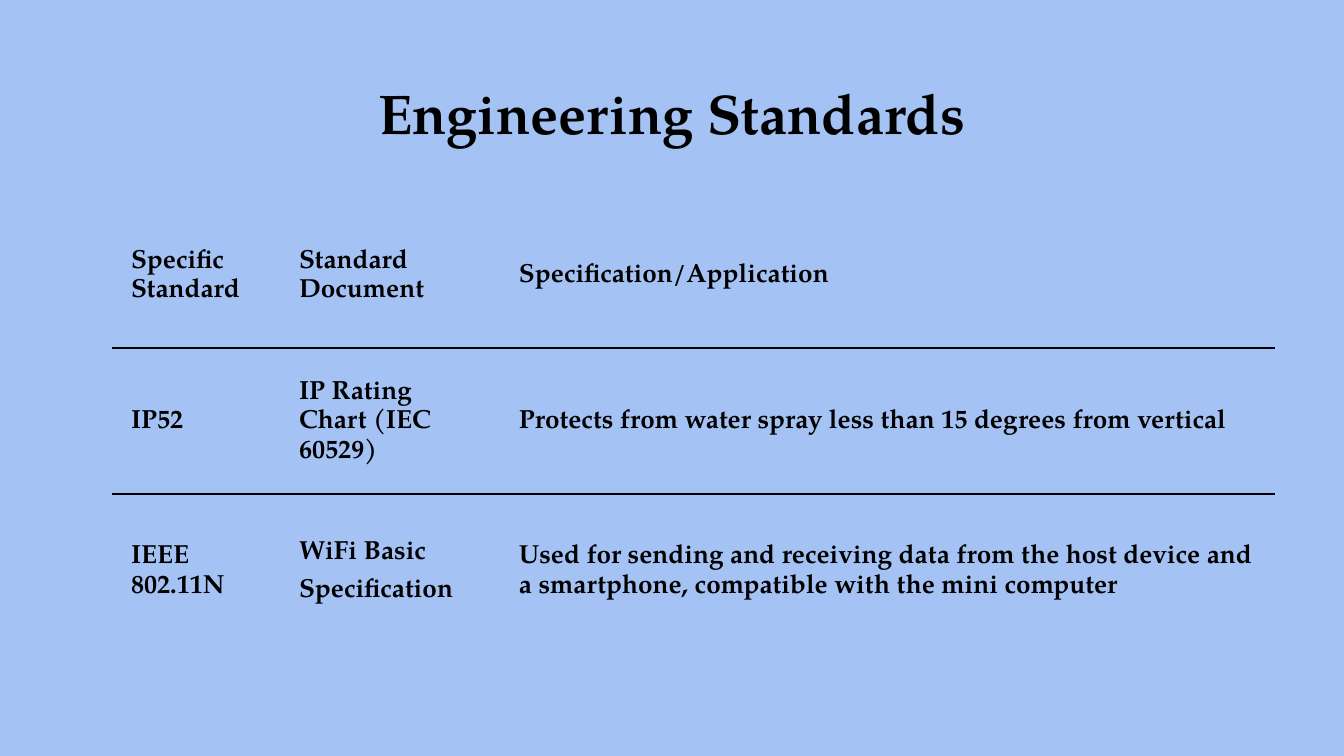
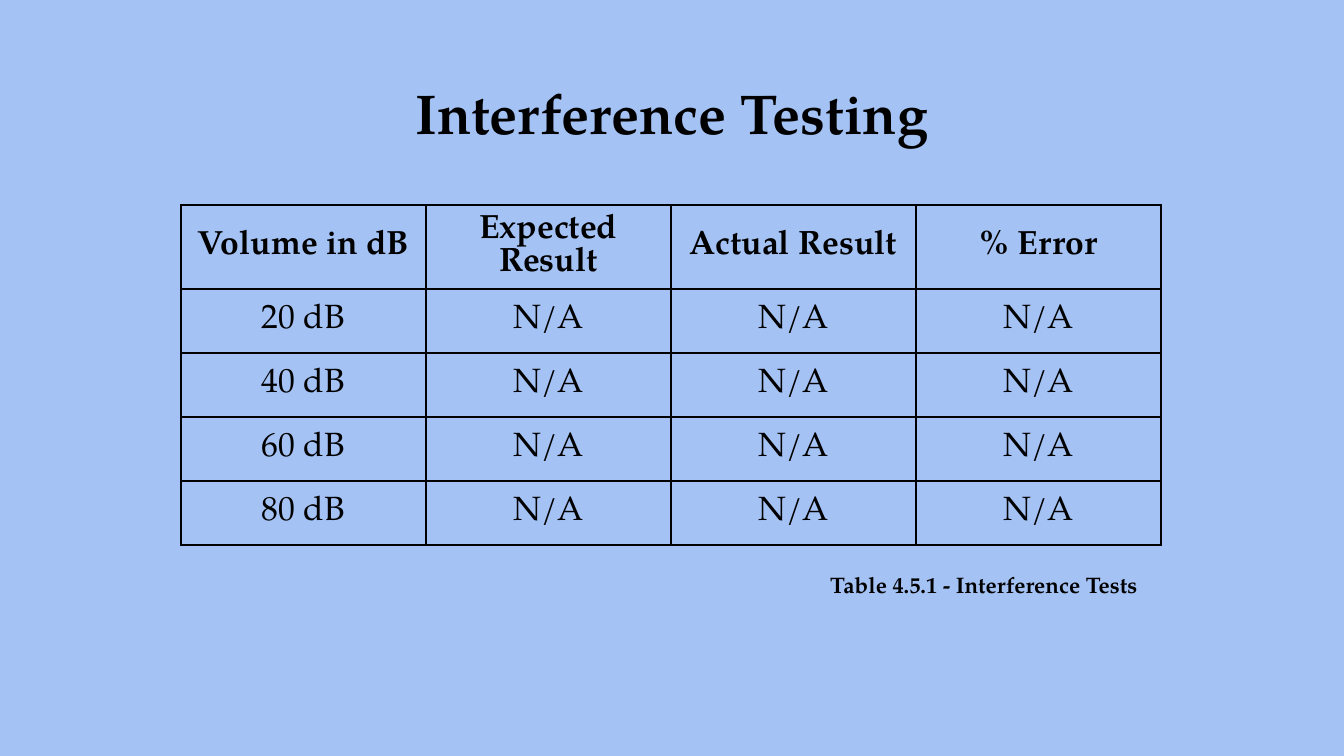
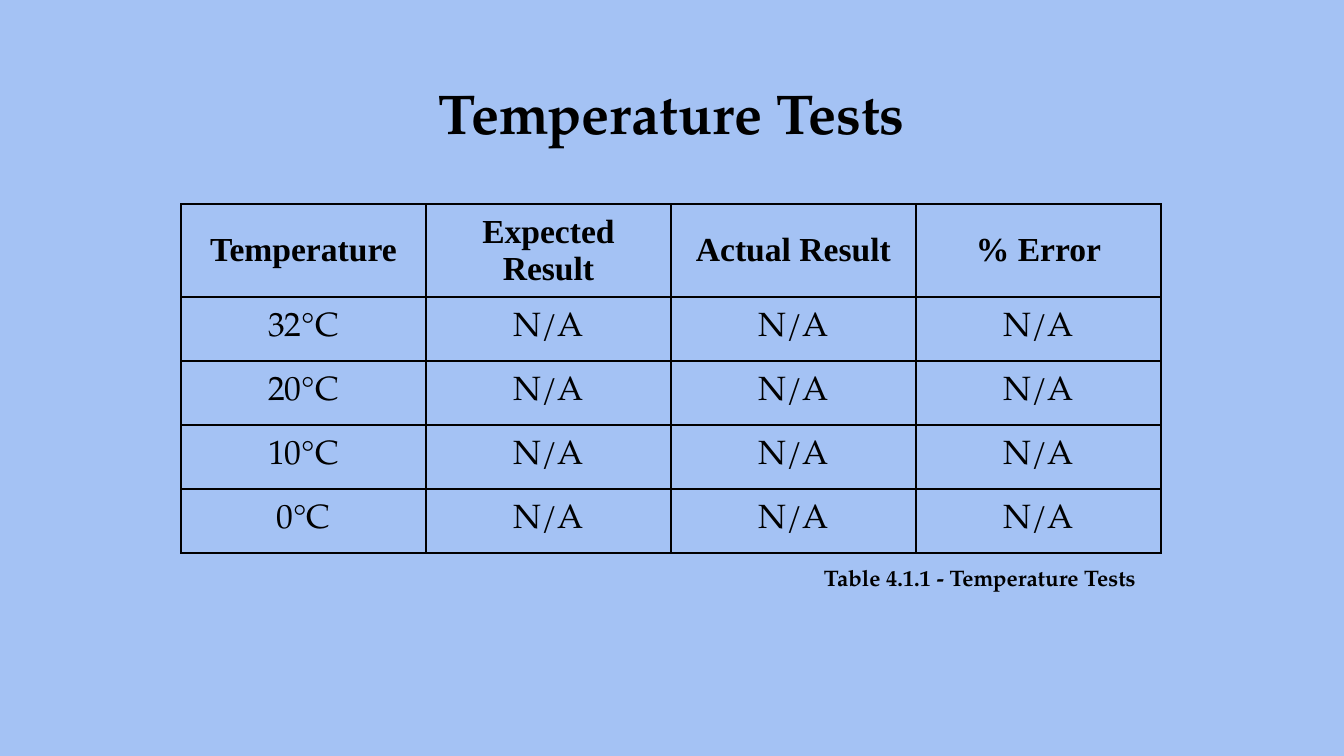
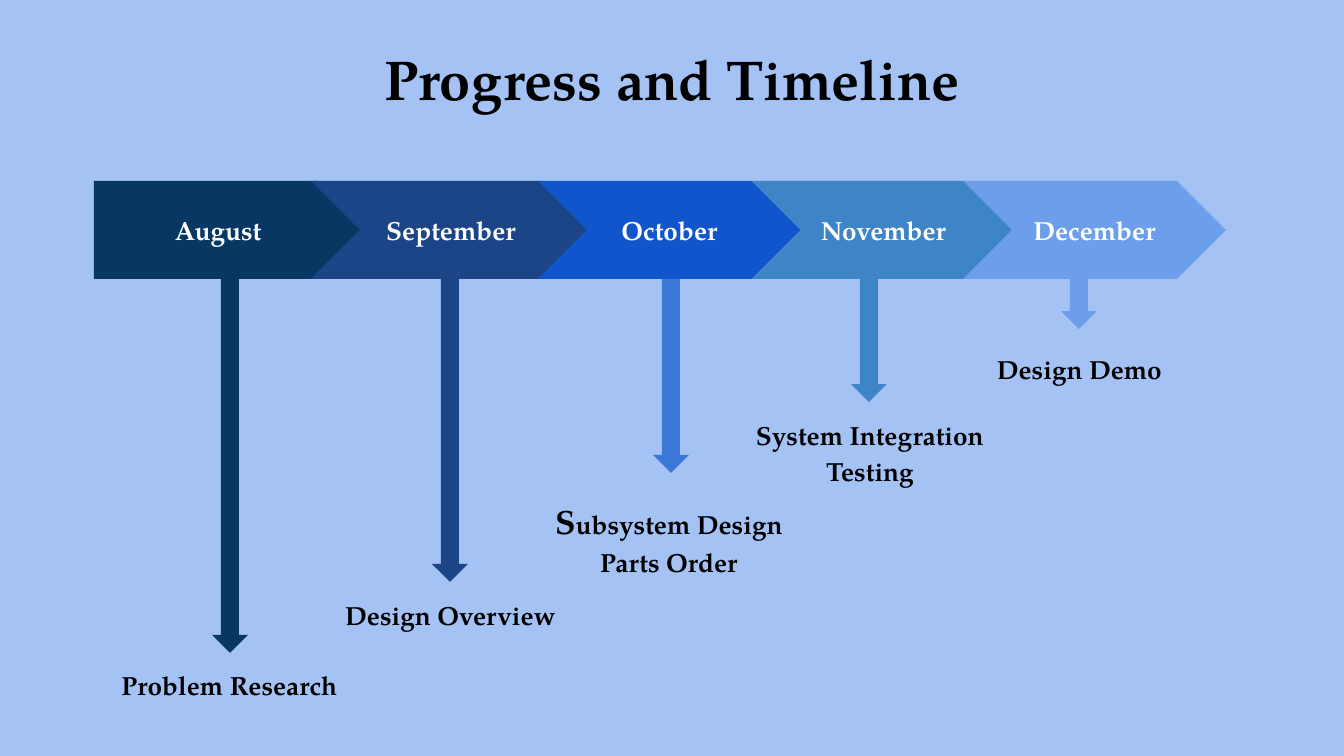
from dataclasses import dataclass

from lxml import etree
from pptx import Presentation
from pptx.dml.color import RGBColor
from pptx.enum.shapes import MSO_SHAPE
from pptx.enum.text import MSO_ANCHOR, MSO_AUTO_SIZE, PP_ALIGN
from pptx.oxml.ns import qn
from pptx.util import Emu, Pt

LEFT, CENTER, JUSTIFY = PP_ALIGN.LEFT, PP_ALIGN.CENTER, PP_ALIGN.JUSTIFY
TOP, MIDDLE = MSO_ANCHOR.TOP, MSO_ANCHOR.MIDDLE
PENTAGON, CHEVRON, DOWN_ARROW = MSO_SHAPE.PENTAGON, MSO_SHAPE.CHEVRON, MSO_SHAPE.DOWN_ARROW
TITLE_ONLY, TITLE_AND_BODY = 5, 1
PLAIN_TABLE_STYLE = "{2D5ABB26-0587-4C30-8999-92F81FD0307C}"
EMU_PER_PX = 914400 / 134.4


@dataclass(frozen=True)
class Theme:
    background: str = "A4C2F4"
    ink: str = "000000"
    on_dark: str = "FFFFFF"
    font: str = "TeX Gyre Pagella"
    alt_font: str = "Times New Roman"
    title: int = 30
    result: int = 18
    text: int = 14
    caption: int = 12
    spacing: float = 1.15


THEME = Theme()
TITLE_BOX = (46, 66, 1252, 85)
TIMELINE_TITLE_BOX = (46, 31, 1252, 85)

STANDARDS = [
    [["Specific Standard"], ["Standard Document"], ["Specification/Application"]],
    [["IP52"], ["IP Rating Chart (IEC 60529)"],
     ["Protects from water spray less than 15 degrees from vertical"]],
    [["IEEE 802.11N"], ["WiFi Basic", "Specification"],
     ["Used for sending and receiving data from the host device and a smartphone, "
      "compatible with the mini computer"]],
]
LEFT_ALIGNED = {(1, 1), (2, 2)}

# month, band (left, width, colour), arrow (left, height, colour), label box, label runs
MILESTONES = [
    ("August", (94, 273, "073763"), (212, 374, "073763"),
     (98, 652, 263, 85), [("Problem Research", THEME.text)]),
    ("September", (311, 280, "1C4587"), (432, 303, "1C4587"),
     (306, 582, 289, 85), [("Design Overview", THEME.text)]),
    ("October", (538, 263, "1155CC"), (653, 194, "3C78D8"),
     (521, 482, 296, 98), [("S", THEME.result), ("ubsystem Design Parts Order", THEME.text)]),
    ("November", (752, 263, "3D85C6"), (851, 123, "3D85C6"),
     (722, 402, 296, 122), [("System Integration Testing", THEME.text)]),
    ("December", (963, 263, "6D9EEB"), (1061, 50, "6D9EEB"),
     (964, 336, 231, 60), [("Design Demo", THEME.text)]),
]


def px(value):
    return Emu(round(value * EMU_PER_PX))


def rgb(colour):
    return RGBColor.from_string(colour)


def place(shape, box):
    shape.left, shape.top, shape.width, shape.height = map(px, box)


def set_frame(frame, anchor, margin=13):
    frame.word_wrap = True
    frame.auto_size = MSO_AUTO_SIZE.NONE
    frame.vertical_anchor = anchor
    frame.margin_left = frame.margin_right = px(margin)
    frame.margin_top = frame.margin_bottom = px(margin)


def write(paragraph, text, size, colour=THEME.ink, bold=True, font=THEME.font):
    run = paragraph.add_run()
    run.text = text
    run.font.size, run.font.bold, run.font.name = Pt(size), bold, font
    run.font.color.rgb = rgb(colour)


def write_centred(frame, text, size, **style):
    paragraph = frame.paragraphs[0]
    paragraph.alignment = CENTER
    write(paragraph, text, size, **style)


def add_titled_slide(prs, title, layout=TITLE_ONLY, box=TITLE_BOX):
    slide = prs.slides.add_slide(prs.slide_layouts[layout])
    heading = slide.shapes.title
    place(heading, box)
    set_frame(heading.text_frame, TOP)
    write_centred(heading.text_frame, title, THEME.title)
    return slide


def add_plain_table(slide, left, top, widths, heights):
    """Add a table without style bands and return it."""
    frame = slide.shapes.add_table(len(heights), len(widths), px(left), px(top),
                                   px(sum(widths)), px(sum(heights)))
    table = frame.table
    table.first_row = table.horz_banding = False
    table._tbl.tblPr.find(qn("a:tableStyleId")).text = PLAIN_TABLE_STYLE
    for column, width in zip(table.columns, widths):
        column.width = px(width)
    for row, height in zip(table.rows, heights):
        row.height = px(height)
    return table


def format_cell(cell, side_margin, edge_margin, edges, line_width):
    """Set margins and draw the named edges (L, R, T, B, in that order)."""
    cell.vertical_anchor = MIDDLE
    cell.margin_left = cell.margin_right = px(side_margin)
    cell.margin_top = cell.margin_bottom = px(edge_margin)
    properties = cell._tc.get_or_add_tcPr()
    for edge in edges:
        line = etree.SubElement(properties, qn(f"a:ln{edge}"), w=str(Pt(line_width)))
        fill = etree.SubElement(line, qn("a:solidFill"))
        etree.SubElement(fill, qn("a:srgbClr"), val=THEME.ink)


def standards_table(slide, left, top):
    table = add_plain_table(slide, left, top, (168, 220, 775), (146, 146, 153))
    edges_by_row = ("B", "TB", "T")
    for r, row in enumerate(STANDARDS):
        for c, lines in enumerate(row):
            cell = table.cell(r, c)
            format_cell(cell, 19, 8, edges_by_row[r], 0.75)
            cell.fill.solid()
            cell.fill.fore_color.rgb = rgb(THEME.background)
            for i, line in enumerate(lines):
                paragraph = cell.text_frame.paragraphs[0] if i == 0 else cell.text_frame.add_paragraph()
                paragraph.alignment = LEFT if (r, c) in LEFT_ALIGNED else JUSTIFY
                paragraph.line_spacing = THEME.spacing
                paragraph.space_before = Pt(5 if i else 0)
                paragraph.space_after = Pt(5 if i == len(lines) - 1 else 0)
                write(paragraph, line, THEME.text)


def results_table(slide, left, top, quantity, readings, header_height, header_font):
    rows = [(quantity, "Expected Result", "Actual Result", "% Error")]
    rows += [(reading, "N/A", "N/A", "N/A") for reading in readings]
    table = add_plain_table(slide, left, top, [245] * 4, [header_height] + [64] * len(readings))
    for r, row in enumerate(rows):
        for c, text in enumerate(row):
            cell = table.cell(r, c)
            format_cell(cell, 9, 9, "LRTB", 1)
            cell.fill.background()
            write_centred(cell.text_frame, text, THEME.result, bold=r == 0,
                          font=THEME.font if r else header_font)


def table_caption(slide, box, text):
    caption = slide.shapes.add_textbox(*map(px, box))
    set_frame(caption.text_frame, MIDDLE)
    write_centred(caption.text_frame, text, THEME.caption)


def results_slide(prs, title, quantity, readings, top, header_height, header_font,
                  caption, caption_box):
    slide = add_titled_slide(prs, title)
    results_table(slide, 181, top, quantity, readings, header_height, header_font)
    table_caption(slide, caption_box, caption)


def add_filled_shape(slide, kind, box, colour):
    shape = slide.shapes.add_shape(kind, *map(px, box))
    shape.shadow.inherit = False
    shape.fill.solid()
    shape.fill.fore_color.rgb = rgb(colour)
    shape.line.fill.background()
    return shape


def month_band(slide, top, height):
    for i, (month, (left, width, colour), *_) in enumerate(MILESTONES):
        band = add_filled_shape(slide, CHEVRON if i else PENTAGON,
                                (left, top, width, height), colour)
        set_frame(band.text_frame, MIDDLE)
        write_centred(band.text_frame, month, THEME.text, colour=THEME.on_dark)


def milestone_arrows(slide, top):
    for _, _, (left, height, colour), *_ in MILESTONES:
        add_filled_shape(slide, DOWN_ARROW, (left, top, 36, height), colour)


def milestone_label(label, box, runs):
    place(label, box)
    set_frame(label.text_frame, TOP)
    paragraph = label.text_frame.paragraphs[0]
    properties = paragraph._p.get_or_add_pPr()
    properties.set("marL", "0")
    properties.set("indent", "0")
    etree.SubElement(properties, qn("a:buNone"))
    paragraph.alignment = CENTER
    paragraph.line_spacing = THEME.spacing
    paragraph.space_before, paragraph.space_after = Pt(0), Pt(16)
    for text, size in runs:
        write(paragraph, text, size)


def timeline_slide(prs):
    slide = add_titled_slide(prs, "Progress and Timeline", TITLE_AND_BODY, TIMELINE_TITLE_BOX)
    labels = [slide.placeholders[1]]
    month_band(slide, 181, 98)
    milestone_arrows(slide, 279)
    for _ in MILESTONES[1:]:
        slide.shapes.clone_placeholder(slide.slide_layout.placeholders[1])
        labels.append(slide.shapes[-1])
    for label, (*_, box, runs) in zip(labels, MILESTONES):
        milestone_label(label, box, runs)


def main():
    prs = Presentation()
    prs.slide_width, prs.slide_height = px(1344), px(756)
    backdrop = prs.slide_master.background.fill
    backdrop.solid()
    backdrop.fore_color.rgb = rgb(THEME.background)

    standards_table(add_titled_slide(prs, "Engineering Standards"), 112, 202)
    results_slide(prs, "Interference Testing", "Volume in dB",
                  [f"{level} dB" for level in (20, 40, 60, 80)], 205, 84, THEME.font,
                  "Table 4.5.1 - Interference Tests", (806, 563, 356, 44))
    results_slide(prs, "Temperature Tests", "Temperature",
                  [f"{degrees}°C" for degrees in (32, 20, 10, 0)], 204, 93, THEME.alt_font,
                  "Table 4.1.1 - Temperature Tests", (798, 558, 364, 40))
    timeline_slide(prs)
    prs.save("out.pptx")


if __name__ == "__main__":
    main()
